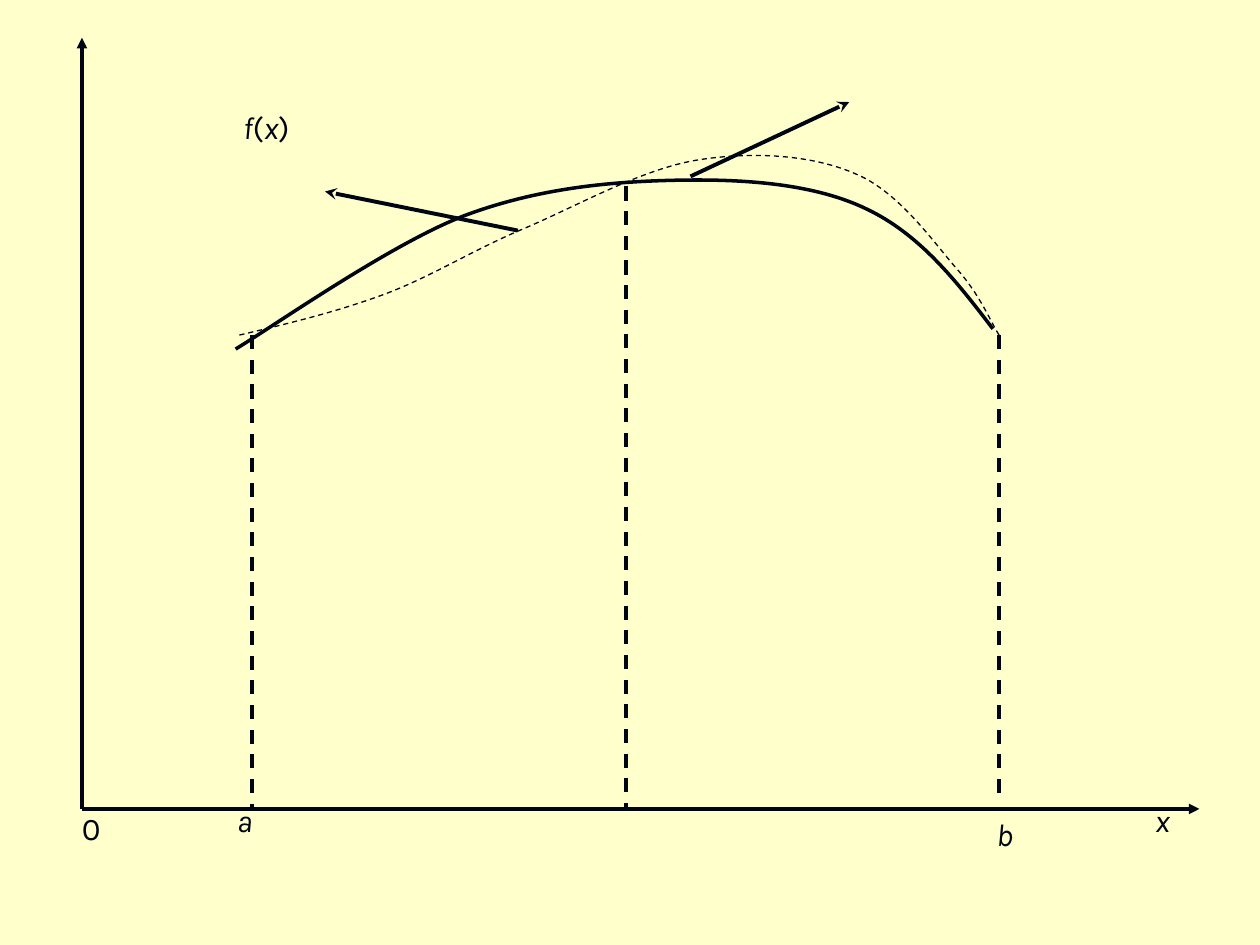
from pptx import Presentation
from pptx.dml.color import RGBColor
from pptx.enum.dml import MSO_LINE
from pptx.enum.shapes import MSO_CONNECTOR, MSO_SHAPE
from pptx.oxml.ns import qn
from pptx.util import Inches, Pt
from lxml.etree import SubElement

INK, PAPER = "000514", "FFFFCC"
FONT = "Karla"
ORIGIN = (0.65, 6.42)
CURVE = [(7.88, 2.61),
         (7.59, 2.23), (7.3, 1.86), (6.88, 1.66),
         (6.47, 1.46), (5.92, 1.42), (5.39, 1.43),
         (4.86, 1.44), (4.28, 1.49), (3.69, 1.71),
         (3.11, 1.93), (2.17, 2.59), (1.87, 2.77)]
APPROXIMATION = [(1.9, 2.66),
                 (2.28, 2.57), (2.66, 2.48), (3.04, 2.34),
                 (3.42, 2.2), (3.76, 1.98), (4.17, 1.81),
                 (4.59, 1.63), (5.1, 1.34), (5.54, 1.27),
                 (5.98, 1.2), (6.45, 1.23), (6.79, 1.38),
                 (7.13, 1.52), (7.4, 1.91), (7.59, 2.13),
                 (7.78, 2.34), (7.87, 2.57), (7.93, 2.66)]


def color(hex_value):
    """Turn a hex string into a colour."""
    return RGBColor.from_string(hex_value)


def style_line(line, width, dashed=False):
    """Give a line the ink colour, a width and an optional dash."""
    line.color.rgb = color(INK)
    line.width = Pt(width)
    if dashed:
        line.dash_style = MSO_LINE.DASH


def add_line(slide, start, end, width=2, dashed=False, head=None):
    """Draw a straight line, with an arrowhead at its end if one is named."""
    s = slide.shapes.add_connector(
        MSO_CONNECTOR.STRAIGHT, *(Inches(v) for v in (*start, *end)))
    style_line(s.line, width, dashed)
    if head:
        SubElement(s.line._get_or_add_ln(), qn("a:tailEnd"), type=head)
    SubElement(s._element.spPr, qn("a:effectLst"))


def add_curve(slide, points, width, dashed=False):
    """Draw cubic curves: a start point, then three points for each curve."""
    start, *rest = [(Inches(x), Inches(y)) for x, y in points]
    builder = slide.shapes.build_freeform(*start)
    builder.add_line_segments(rest, close=False)
    s = builder.convert_to_shape()
    s.shadow.inherit = False
    s.fill.background()
    style_line(s.line, width, dashed)
    outline = s._element.find(".//" + qn("a:path"))
    steps = outline.findall(qn("a:lnTo"))
    for i in range(0, len(steps), 3):
        bezier = SubElement(outline, qn("a:cubicBezTo"))
        for step in steps[i:i + 3]:
            bezier.append(step[0])
            outline.remove(step)


def add_label(slide, box, runs, inset=True):
    """Write a label from (text, italic) runs."""
    s = slide.shapes.add_textbox(*(Inches(v) for v in box))
    tf = s.text_frame
    tf.word_wrap = True
    if not inset:
        tf.margin_left = tf.margin_top = tf.margin_right = tf.margin_bottom = 0
    for text, italic in runs:
        r = tf.paragraphs[0].add_run()
        r.text = text
        r.font.name = FONT
        r.font.size = Pt(18)
        r.font.italic = italic
        r.font.color.rgb = color(INK)


def add_backdrop(slide, box):
    """Fill the given box with the paper colour."""
    s = slide.shapes.add_shape(MSO_SHAPE.RECTANGLE, *(Inches(v) for v in box))
    s.shadow.inherit = False
    s.fill.solid()
    s.fill.fore_color.rgb = color(PAPER)
    s.line.fill.background()


def add_axes(slide, origin, right, top):
    """Draw both axes from the origin with their labels."""
    x, y = origin
    add_line(slide, origin, (x, top), head="triangle")
    add_line(slide, origin, (right, y), head="triangle")
    add_label(slide, (x, y, 0.88, 0.6), [("0", False)], inset=False)
    add_label(slide, (9.07, 6.31, 0.57, 0.73), [("x", True)])


def add_bounds(slide, base):
    """Drop dashed lines from the curves and name the interval's ends."""
    for x, top, bottom in ((2, 2.66, base), (4.97, 1.48, base),
                           (7.93, 2.66, 6.31)):
        add_line(slide, (x, top), (x, bottom), dashed=True)
    add_label(slide, (1.78, 6.31, 0.8, 0.73), [("a", True)])
    add_label(slide, (7.81, 6.42, 0.91, 0.73), [("b", True)])


def add_functions(slide):
    """Draw the function, its approximation and the pointers from each."""
    add_label(slide, (1.83, 0.81, 1.02, 0.73),
              [("f", True), ("(", False), ("x", True), (")", False)])
    add_curve(slide, CURVE, 2)
    add_curve(slide, APPROXIMATION, 0.75, dashed=True)
    for start, end in (((4.11, 1.83), (2.58, 1.52)),
                       ((5.48, 1.4), (6.74, 0.81))):
        add_line(slide, start, end, width=2.25, head="stealth")


def main():
    """Build the slide and save it."""
    prs = Presentation()
    prs.slide_width, prs.slide_height = Inches(10), Inches(7.5)
    slide = prs.slides.add_slide(prs.slide_layouts[6])
    add_backdrop(slide, (0, 0, 10, 7.5))
    add_axes(slide, ORIGIN, 9.52, 0.3)
    add_bounds(slide, ORIGIN[1])
    add_functions(slide)
    prs.save("out.pptx")


if __name__ == "__main__":
    main()
